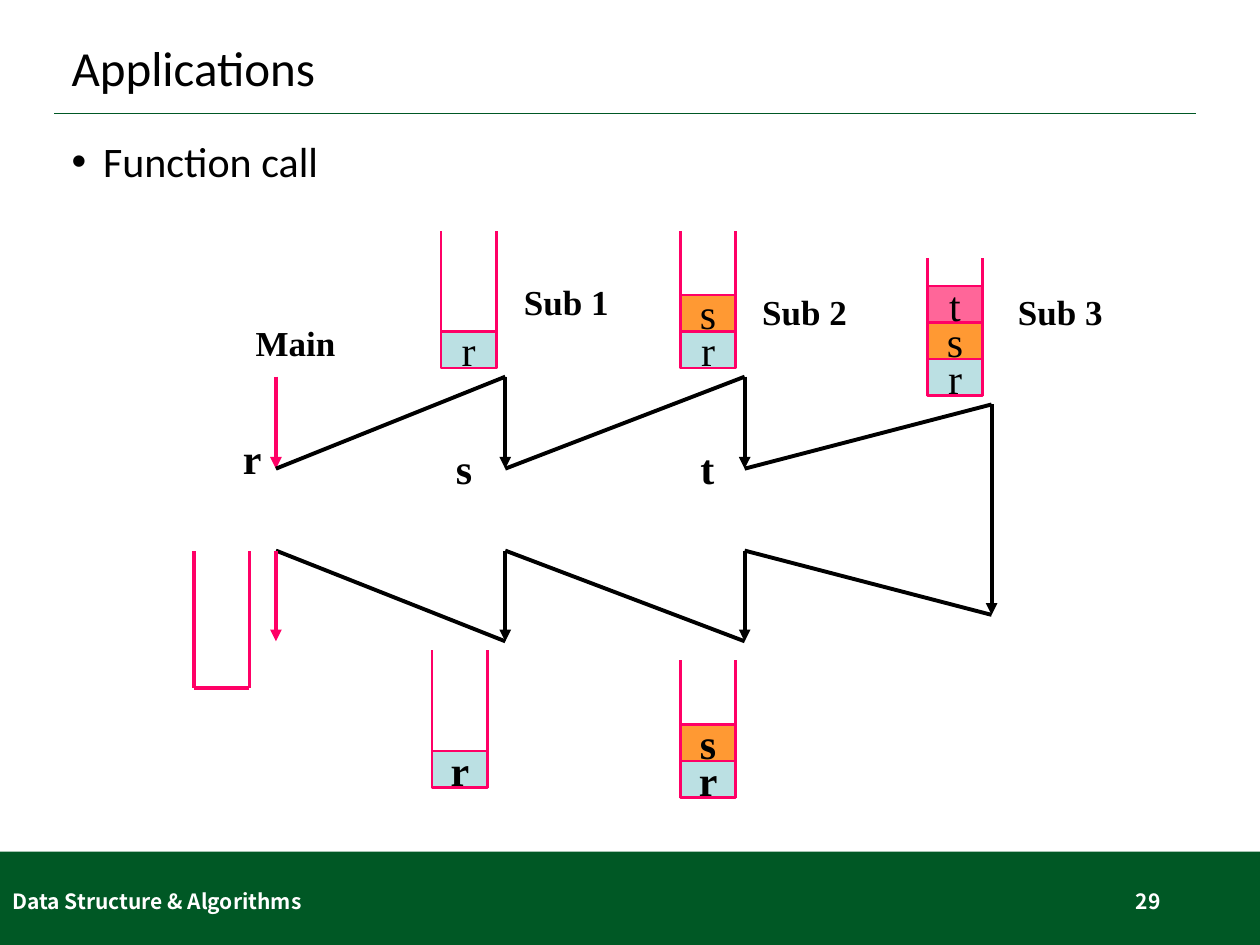
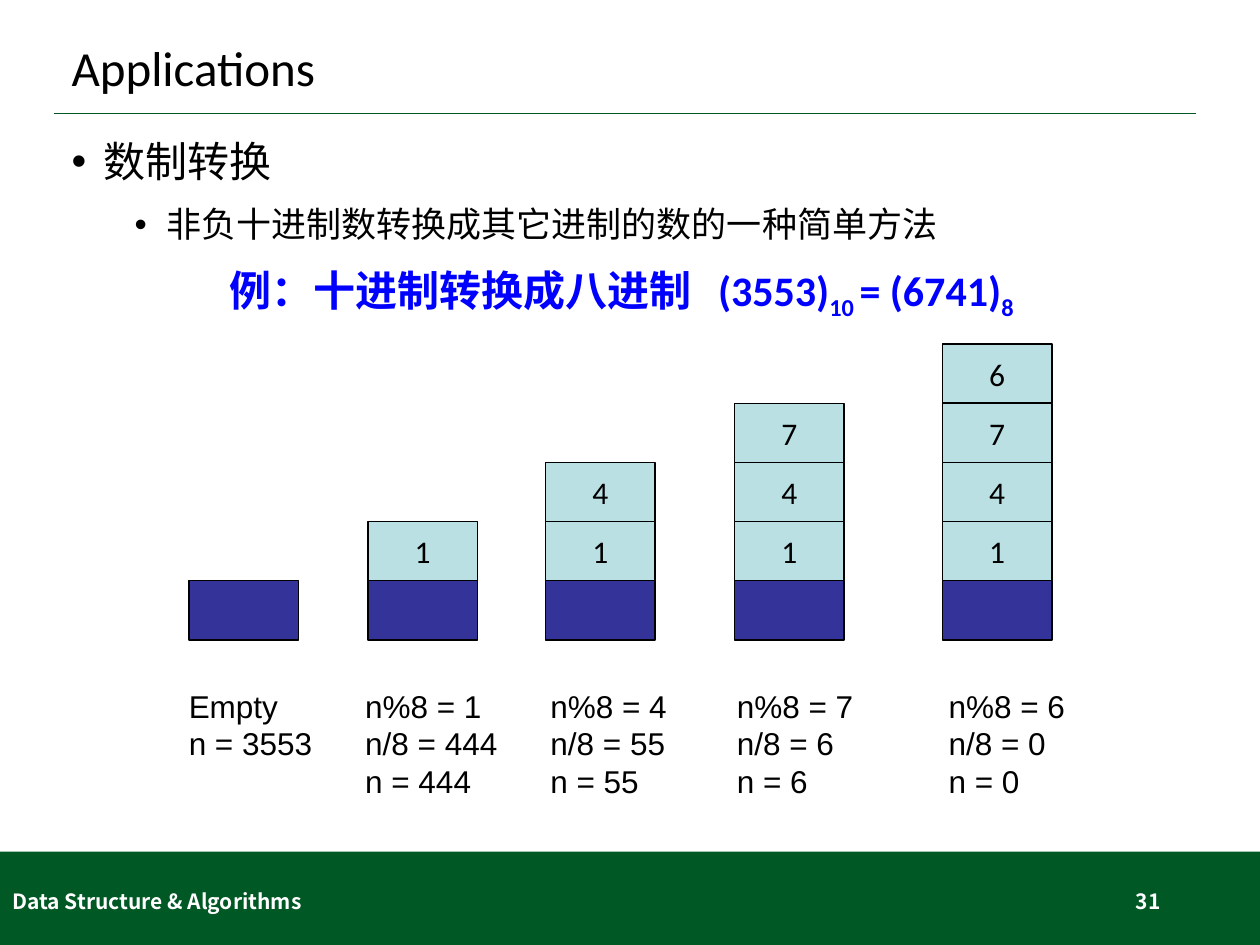
"""Build two slides on applications of stacks: function calls and base conversion."""
from itertools import pairwise

from lxml.etree import SubElement
from pptx import Presentation
from pptx.dml.color import RGBColor
from pptx.enum.shapes import MSO_CONNECTOR, MSO_SHAPE
from pptx.enum.text import MSO_ANCHOR, PP_ALIGN
from pptx.oxml.ns import qn
from pptx.util import Inches, Pt

GREEN = RGBColor(0x00, 0x58, 0x25)
BLACK = RGBColor(0x00, 0x00, 0x00)
WHITE = RGBColor(0xFF, 0xFF, 0xFF)
BLUE = RGBColor(0x00, 0x00, 0xFF)
NAVY = RGBColor(0x33, 0x33, 0x99)
CRIMSON = RGBColor(0xFF, 0x00, 0x66)
PALE_TEAL = RGBColor(0xBB, 0xE0, 0xE3)
ORANGE = RGBColor(0xFF, 0x99, 0x33)
PINK = RGBColor(0xFF, 0x66, 0x99)

SANS, FOOTER_FONT, SERIF, CAPTION_FONT = "Calibri", "Noto Sans CJK SC", "Times New Roman", "Arial"

TITLE = "Applications"
COURSE = "Data Structure & Algorithms"

CALL_BULLETS = [("Function call", 0)]
MAIN_X, SUB1_X, SUB2_X, SUB3_X = 2.19, 4.01, 5.91, 7.87
CALL_TOP, CALL_BOTTOM, RETURN_TOP, RETURN_BOTTOM = 2.99, 3.72, 4.37, 5.09
CONTROL_FLOW = [
    (MAIN_X, CALL_TOP), (MAIN_X, CALL_BOTTOM),
    (SUB1_X, CALL_TOP), (SUB1_X, CALL_BOTTOM),
    (SUB2_X, CALL_TOP), (SUB2_X, CALL_BOTTOM),
    (SUB3_X, 3.21), (SUB3_X, 4.88),
    (SUB2_X, RETURN_TOP), (SUB2_X, RETURN_BOTTOM),
    (SUB1_X, RETURN_TOP), (SUB1_X, RETURN_BOTTOM),
    (MAIN_X, RETURN_TOP), (MAIN_X, RETURN_BOTTOM),
]
ROUTINES = [("Main", 1.93, 2.5), ("Sub 1", 4.06, 2.18), ("Sub 2", 5.95, 2.26), ("Sub 3", 7.98, 2.26)]
RETURN_ADDRESSES = [("r", 1.83, 3.38), ("s", 3.52, 3.46), ("t", 5.46, 3.46)]
FRAME_FILLS = {"r": PALE_TEAL, "s": ORANGE, "t": PINK}
CALL_STACKS = [
    ("r", 3.5, 2.92, False), ("rs", 5.4, 2.92, False), ("rst", 7.36, 3.14, False),
    ("rs", 5.4, 6.33, True), ("r", 3.43, 6.25, True), ("", 1.54, 5.46, False),
]
FRAME_WIDTH, FRAME_HEIGHT, WALL_HEIGHT = 0.44, 0.29, 1.09

BASE_BULLETS = [("数制转换", 0), ("非负十进制数转换成其它进制的数的一种简单方法", 1)]
EXAMPLE = [("例：十进制转换成八进制\t(3553)", False), ("10 ", True), ("= (6741)", False), ("8", True)]
OCTAL_DIGITS = "1476"
STEPS = [
    (1.5, 1.4, ["Empty", "n = 3553"]),
    (2.92, 2.8, ["n%8 = 1", "n/8 = 444", "n = 444"]),
    (4.33, 4.27, ["n%8 = 4", "n/8 = 55", "n = 55"]),
    (5.83, 5.75, ["n%8 = 7", "n/8 = 6", "n = 6"]),
    (7.48, 7.43, ["n%8 = 6", "n/8 = 0", "n = 0"]),
]
DIGIT_WIDTH, DIGIT_HEIGHT, STACK_BASE = 0.87, 0.47, 5.08


def add_run(paragraph, text, size, font, color=BLACK, bold=False):
    run = paragraph.add_run()
    run.text = text
    run.font.size, run.font.name, run.font.bold = Pt(size), font, bold
    run.font.color.rgb = color
    return run


def add_frame(slide, left, top, width, height, anchor=MSO_ANCHOR.TOP, wrap=True):
    box = slide.shapes.add_textbox(Inches(left), Inches(top), Inches(width), Inches(height))
    frame = box.text_frame
    frame.word_wrap, frame.vertical_anchor = wrap, anchor
    return frame


def add_line(slide, start, end, color, width, arrow=False):
    line = slide.shapes.add_connector(
        MSO_CONNECTOR.STRAIGHT, *(Inches(length) for length in (*start, *end)))
    line.line.color.rgb, line.line.width = color, Pt(width)
    properties = line._element.spPr
    if arrow:
        SubElement(properties.find(qn("a:ln")), qn("a:tailEnd"), type="triangle")
    SubElement(properties, qn("a:effectLst"))


def add_rect(slide, left, top, width, height, fill, outline=None, weight=0):
    rect = slide.shapes.add_shape(
        MSO_SHAPE.RECTANGLE, Inches(left), Inches(top), Inches(width), Inches(height))
    rect.shadow.inherit = False
    rect.fill.solid()
    rect.fill.fore_color.rgb = fill
    if outline is None:
        rect.line.fill.background()
    else:
        rect.line.color.rgb, rect.line.width = outline, Pt(weight)
    return rect


def label_rect(rect, text, size, font, bold=False):
    frame = rect.text_frame
    frame.word_wrap, frame.vertical_anchor = False, MSO_ANCHOR.MIDDLE
    frame.paragraphs[0].alignment = PP_ALIGN.CENTER
    add_run(frame.paragraphs[0], text, size, font, bold=bold)


def add_bullets(slide, bullets):
    frame = add_frame(slide, 0.47, 1.07, 9.06, 5.54)
    for index, (text, level) in enumerate(bullets):
        paragraph = frame.add_paragraph() if index else frame.paragraphs[0]
        paragraph.level, paragraph.line_spacing = level, 0.9
        if index:
            paragraph.space_before = Pt(12)
        properties = paragraph._p.get_or_add_pPr()
        properties.set("marL", str(Inches(0.25 + 0.5 * level)))
        properties.set("indent", str(-Inches(0.25)))
        SubElement(properties, qn("a:buFont"), typeface=CAPTION_FONT)
        SubElement(properties, qn("a:buChar"), char="•")
        add_run(paragraph, text, 24 - 4 * level, SANS)


def add_base_slide(deck, number, bullets):
    slide = deck.slides.add_slide(deck.slide_layouts[6])
    add_rect(slide, 0, 6.76, 10, 0.74, GREEN)
    add_line(slide, (0.43, 0.9), (9.49, 0.9), GREEN, 1)
    title = add_frame(slide, 0.47, 0.23, 9.06, 0.66, MSO_ANCHOR.MIDDLE).paragraphs[0]
    title.line_spacing = 0.9
    add_run(title, TITLE, 28, SANS)
    add_bullets(slide, bullets)
    for text, left, width, alignment in [
            (COURSE, 0, 3.38, PP_ALIGN.LEFT), (number, 7.06, 2.25, PP_ALIGN.RIGHT)]:
        footer = add_frame(slide, left, 6.95, width, 0.4, MSO_ANCHOR.MIDDLE).paragraphs[0]
        footer.alignment = alignment
        add_run(footer, text, 12, FOOTER_FONT, WHITE, bold=True)
    return slide


def add_call_stack(slide, frames, left, bottom, bold):
    right = left + FRAME_WIDTH
    weight = 1.5 if frames else 2.25
    for x in (left, right):
        add_line(slide, (x, bottom), (x, bottom - WALL_HEIGHT), CRIMSON, weight)
    if not frames:
        add_line(slide, (left, bottom), (right, bottom), CRIMSON, weight)
    for depth, name in enumerate(frames, 1):
        rect = add_rect(slide, left, bottom - depth * FRAME_HEIGHT, FRAME_WIDTH, FRAME_HEIGHT,
                        FRAME_FILLS[name], CRIMSON, weight)
        label_rect(rect, name, 24, SERIF, bold)


def build_function_call(deck):
    slide = add_base_slide(deck, "29", CALL_BULLETS)
    ends = (CONTROL_FLOW[0], CONTROL_FLOW[-1])
    for start, end in pairwise(CONTROL_FLOW):
        color = CRIMSON if start == ends[0] or end == ends[1] else BLACK
        add_line(slide, start, end, color, 2.25, arrow=start[0] == end[0])
    for stack in CALL_STACKS:
        add_call_stack(slide, *stack)
    for labels, size, width in [(ROUTINES, 20, 1.02), (RETURN_ADDRESSES, 24, 0.4)]:
        for text, left, top in labels:
            label = add_frame(slide, left, top, width, 0.5)
            add_run(label.paragraphs[0], text, size, SERIF, bold=True)


def build_base_conversion(deck):
    slide = add_base_slide(deck, "31", BASE_BULLETS)
    example = add_frame(slide, 1.72, 2.05, 6.49, 0.5, wrap=False).paragraphs[0]
    tabs = SubElement(example._p.get_or_add_pPr(), qn("a:tabLst"))
    SubElement(tabs, qn("a:tab"), pos=str(Inches(3.88)), algn="l")
    for text, subscript in EXAMPLE:
        run = add_run(example, text, 24, SANS, BLUE, bold=True)
        if subscript:
            run._r.get_or_add_rPr().set("baseline", "-25000")
    for pushed, (stack_left, caption_left, caption) in enumerate(STEPS):
        for level, digit in enumerate(["", *OCTAL_DIGITS[:pushed]], 1):
            rect = add_rect(slide, stack_left, STACK_BASE - level * DIGIT_HEIGHT, DIGIT_WIDTH,
                            DIGIT_HEIGHT, PALE_TEAL if digit else NAVY, BLACK, 0.75)
            if digit:
                label_rect(rect, digit, 18, SANS)
        frame = add_frame(slide, caption_left, 5.4, 1.26, 1.01, wrap=False)
        for index, text in enumerate(caption):
            paragraph = frame.add_paragraph() if index else frame.paragraphs[0]
            add_run(paragraph, text, 18, CAPTION_FONT)


def main():
    deck = Presentation()
    deck.slide_width, deck.slide_height = Inches(10), Inches(7.5)
    build_function_call(deck)
    build_base_conversion(deck)
    deck.save("out.pptx")


if __name__ == "__main__":
    main()
